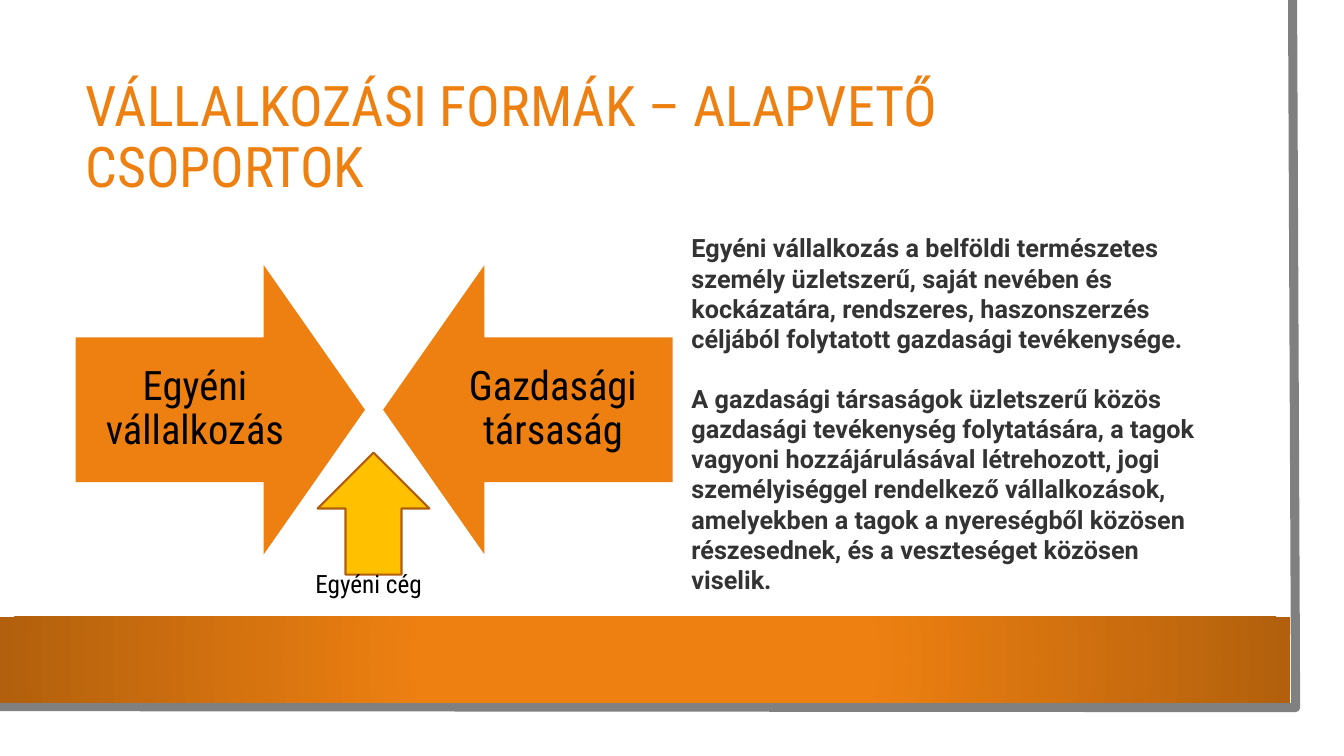
from lxml.etree import SubElement
from pptx import Presentation
from pptx.dml.color import RGBColor
from pptx.enum.shapes import MSO_SHAPE
from pptx.enum.text import MSO_ANCHOR, PP_ALIGN
from pptx.oxml.ns import qn
from pptx.util import Inches, Pt

ORANGE = "EE8011"
COND = "Roboto Condensed"
SOLE = (
    "Egyéni vállalkozás a belföldi természetes személy üzletszerű, saját nevében "
    "és kockázatára, rendszeres, haszonszerzés céljából folytatott gazdasági "
    "tevékenysége."
)
FIRM = (
    "A gazdasági társaságok üzletszerű közös gazdasági tevékenység folytatására, "
    "a tagok vagyoni hozzájárulásával létrehozott, jogi személyiséggel rendelkező "
    "vállalkozások, amelyekben a tagok a nyereségből közösen részesednek, és a "
    "veszteséget közösen viselik."
)


def color(code):
    """Turn a hex string into a colour."""
    return RGBColor.from_string(code)


def add_form(slide, kind, box, fill, line=None, turn=0):
    """Add a filled preset shape."""
    form = slide.shapes.add_shape(kind, *map(Inches, box))
    form.shadow.inherit = False
    form.rotation = turn
    form.fill.solid()
    form.fill.fore_color.rgb = color(fill)
    if line:
        form.line.color.rgb = color(line)
        form.line.width = Pt(1.5)
    else:
        form.line.fill.background()
    return form


def add_text(slide, box, text, size, code="000000", font=COND, bold=False):
    """Add a wrapped text box with one paragraph."""
    note = slide.shapes.add_textbox(*map(Inches, box))
    frame = note.text_frame
    frame.word_wrap = True
    frame.text = text
    style = frame.paragraphs[0].runs[0].font
    style.name, style.size, style.bold = font, Pt(size), bold
    style.color.rgb = color(code)
    return frame


def add_edge(slide):
    """Draw the grey edge along the right and the bottom."""
    pen = slide.shapes.build_freeform(Inches(12.82), 0)
    spots = [(12.85, 7.02), (-0.03, 7.01)]
    pen.add_line_segments([(Inches(x), Inches(y)) for x, y in spots], close=False)
    edge = pen.convert_to_shape()
    edge.shadow.inherit = False
    edge.fill.background()
    edge.line.color.rgb = color("808080")
    edge.line.width = Pt(6.5)


def add_band(slide):
    """Add the bottom band, shaded from its centre outwards."""
    band = add_form(slide, MSO_SHAPE.RECTANGLE, (0, 6.12, 12.8, 0.85), ORANGE)
    band.fill.gradient()
    grad = band.fill._xPr.find(qn("a:gradFill"))
    for child in list(grad):
        grad.remove(child)
    stops = SubElement(grad, qn("a:gsLst"))
    for spot, code in ((34, ORANGE), (100, "B2600D")):
        stop = SubElement(stops, qn("a:gs"), pos=str(spot * 1000))
        SubElement(stop, qn("a:srgbClr"), val=code)
    ring = SubElement(grad, qn("a:path"), path="circle")
    SubElement(ring, qn("a:fillToRect"), l="50000", t="50000", r="50000", b="50000")


def add_arrow(slide, left, turn, start, text):
    """Add a sideways block arrow and its label."""
    arrow = add_form(
        slide, MSO_SHAPE.DOWN_ARROW, (left, 2.63, 2.87, 2.87), ORANGE, turn=turn
    )
    arrow.adjustments[0] = 0.5
    arrow.adjustments[1] = 0.35
    frame = add_text(slide, (start, 3.35, 2.37, 1.43), text, 29)
    frame.vertical_anchor = MSO_ANCHOR.MIDDLE
    frame.margin_left = frame.margin_right = Inches(0.23)
    frame.margin_top = frame.margin_bottom = Inches(0.23)
    frame.paragraphs[0].alignment = PP_ALIGN.CENTER
    frame.paragraphs[0].line_spacing = 0.9


def main():
    """Build the slide and save it."""
    deck = Presentation()
    deck.slide_width, deck.slide_height = Inches(13.33), Inches(7.5)
    slide = deck.slides.add_slide(deck.slide_layouts[6])

    add_form(slide, MSO_SHAPE.RECTANGLE, (0, 0, 13.1, 7.27), "FFFFFF")
    add_edge(slide)
    add_band(slide)

    title = add_text(
        slide, (0.75, 0.75, 11.37, 1.26),
        "VÁLLALKOZÁSI FORMÁK – ALAPVETŐ CSOPORTOK", 40, ORANGE,
    )
    title.vertical_anchor = MSO_ANCHOR.MIDDLE
    title.paragraphs[0].line_spacing = 0.9

    add_arrow(slide, 0.75, 270, 0.75, "Egyéni vállalkozás")
    add_arrow(slide, 3.8, 90, 4.3, "Gazdasági társaság")
    for top, height, text in ((2.26, 1.31, SOLE), (3.75, 2.22, FIRM)):
        add_text(slide, (6.76, top, 5.36, height), text, 18, "333333", "Roboto", True)

    add_form(slide, MSO_SHAPE.UP_ARROW, (3.15, 4.49, 1.11, 1.21), "FFC000", "B05F0D")
    add_text(slide, (3.03, 5.59, 1.34, 0.4), "Egyéni cég", 18)
    deck.save("out.pptx")


if __name__ == "__main__":
    main()
